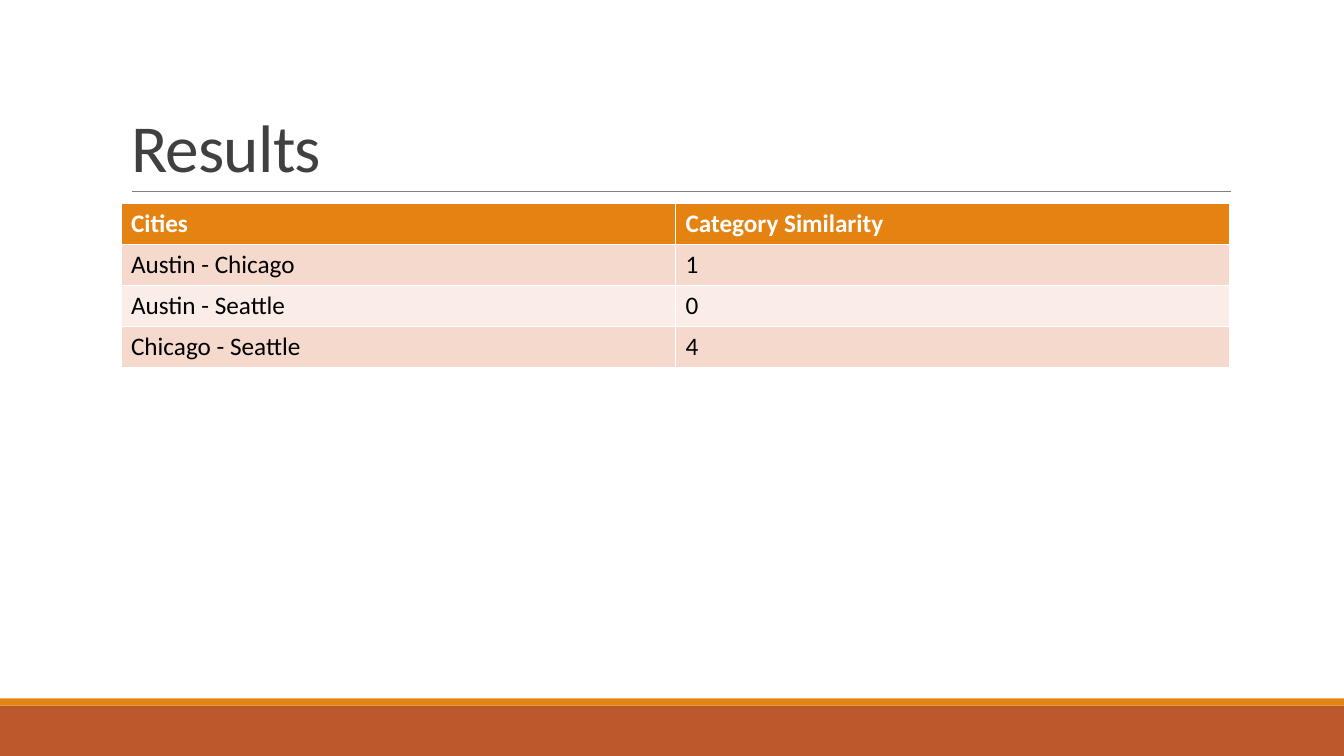
from pptx import Presentation
from pptx.dml.color import RGBColor
from pptx.enum.shapes import MSO_CONNECTOR as Connector, MSO_SHAPE as Shape
from pptx.enum.text import MSO_ANCHOR as Anchor, MSO_AUTO_SIZE as AutoSize, PP_ALIGN as Align
from pptx.oxml.ns import qn
from pptx.util import Inches, Pt

SLIDE_WIDTH, SLIDE_HEIGHT = 13.33, 7.5
ORANGE, RUST = "E48312", "BD582C"
BAND_FILLS = ["F5D9CC", "FAEDE7"]
RESULTS = [
    ("Cities", "Category Similarity"),
    ("Austin - Chicago", "1"),
    ("Austin - Seattle", "0"),
    ("Chicago - Seattle", "4"),
]


def color(value):
    return RGBColor.from_string(value)


def format_text(span, text_color, **values):
    for name, value in {"name": "Calibri", **values}.items():
        setattr(span.font, name, value)
    span.font.color.rgb = color(text_color)


def add_footer_bands(slide, left, top, width, height):
    """Stack a thin orange stripe on a rust band that fills the box."""
    stripe = 0.07
    bands = [(top + stripe, height - stripe, RUST), (top, stripe, ORANGE)]
    for band_top, band_height, fill in bands:
        band = slide.shapes.add_shape(
            Shape.RECTANGLE, Inches(left), Inches(band_top), Inches(width), Inches(band_height))
        band.shadow.inherit = False
        band.fill.solid()
        band.fill.fore_color.rgb = color(fill)
        band.line.fill.background()


def add_title(slide, text, left, top, width, height):
    """Place the title at the bottom of the box, underlined by a thin rule."""
    title = slide.shapes.title
    box = {"left": left, "top": top, "width": width, "height": height}
    for name, value in box.items():
        setattr(title, name, Inches(value))
    frame = title.text_frame
    frame.auto_size = AutoSize.NONE
    frame.word_wrap = True
    frame.vertical_anchor = Anchor.BOTTOM
    para = frame.paragraphs[0]
    para.alignment = Align.LEFT
    para.line_spacing = 0.85
    span = para.add_run()
    span.text = text
    format_text(span, "404040", size=Pt(48))
    span.font._element.set("spc", "-50")

    bottom = Inches(top + height)
    rule = slide.shapes.add_connector(
        Connector.STRAIGHT, Inches(left + 0.11), bottom, Inches(left + width + 0.01), bottom)
    rule.line.color.rgb = color("808080")
    rule.line.width = Pt(0.5)
    properties = rule._element.spPr
    properties.append(properties.makeelement(qn("a:effectLst"), {}))


def add_results_table(slide, rows, left, top, width, height):
    table = slide.shapes.add_table(
        len(rows), len(rows[0]), Inches(left), Inches(top), Inches(width), Inches(height)).table
    for row_index, row in enumerate(rows):
        header = row_index == 0
        fill = ORANGE if header else BAND_FILLS[(row_index - 1) % 2]
        for column_index, text in enumerate(row):
            cell = table.cell(row_index, column_index)
            cell.fill.solid()
            cell.fill.fore_color.rgb = color(fill)
            span = cell.text_frame.paragraphs[0].add_run()
            span.text = text
            format_text(span, "FFFFFF" if header else "000000", size=Pt(18), bold=header)


def add_results_slide(deck):
    slide = deck.slides.add_slide(deck.slide_layouts.get_by_name("Title Only"))
    left, width = 1.2, 11
    add_footer_bands(slide, 0, 6.93, SLIDE_WIDTH, 0.57)
    add_title(slide, "Results", left, 0.31, width, 1.59)
    add_results_table(slide, RESULTS, left, 2.02, width, 1.62)


def main():
    deck = Presentation()
    deck.slide_width, deck.slide_height = Inches(SLIDE_WIDTH), Inches(SLIDE_HEIGHT)
    add_results_slide(deck)
    deck.save("out.pptx")


if __name__ == "__main__":
    main()
